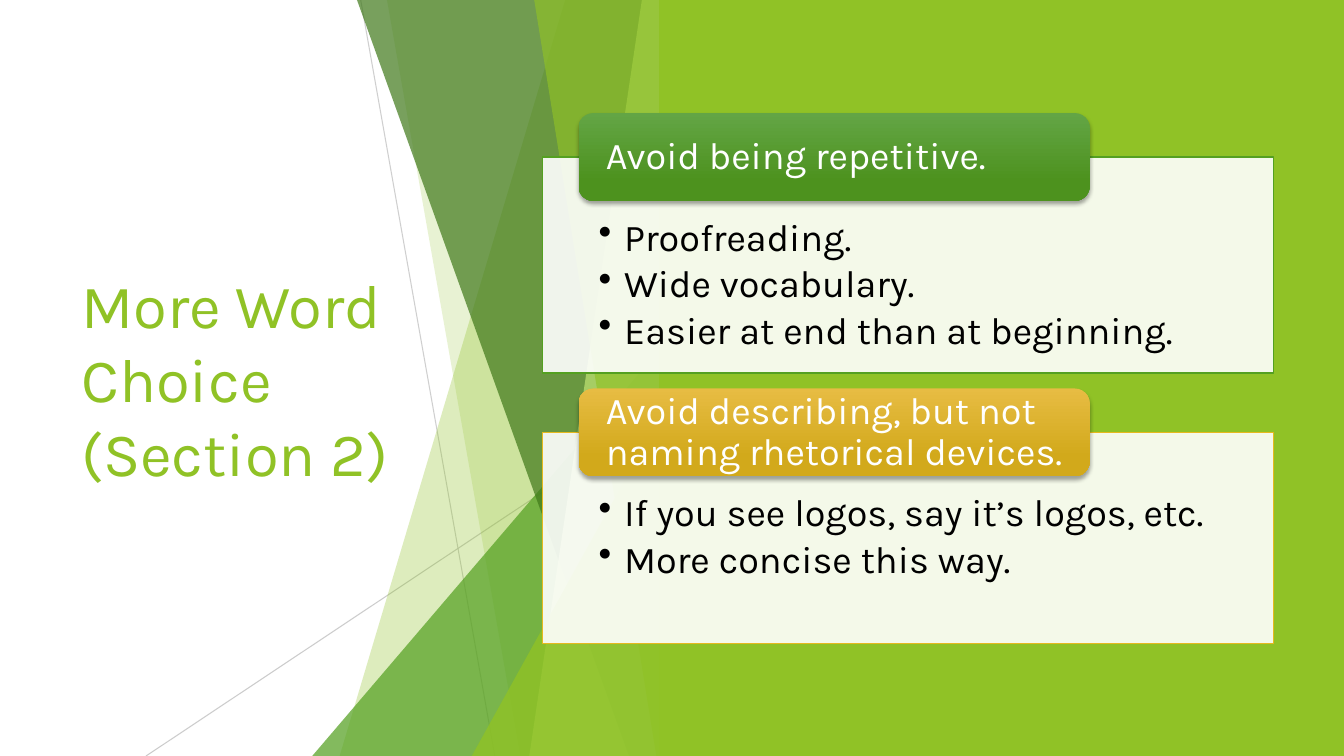
from lxml.etree import SubElement
from pptx import Presentation
from pptx.dml.color import RGBColor
from pptx.enum.shapes import MSO_CONNECTOR, MSO_SHAPE
from pptx.enum.text import MSO_ANCHOR, PP_ALIGN
from pptx.oxml.ns import qn
from pptx.util import Cm, Pt

COLORS = {
    "lime": "90C226", "green": "54A021", "forest": "3F7819", "pale": "C0E474",
    "gold": "E6B91E", "grey": "BFBFBF", "white": "FFFFFF", "black": "000000",
    "green_top": "63A545", "green_low": "4D921E",
    "gold_top": "E7BC43", "gold_low": "D2A91B",
}
FONT = "Karla"
FACET_RIGHT, FACET_TOP, BOTTOM = 16.92, -0.02, 19.05
LINES = [(9.09, 0, 12.47, BOTTOM, 75), (FACET_RIGHT, 10.24, 3.68, BOTTOM, 80)]
FACETS = [
    ("band", 14.25, 8.56, "lime", 30),
    ("band", 9.75, 13.11, "lime", 20),
    ("triangle", 7.87, 8.46, "green", 72),
    ("band", 8.99, 15.85, "forest", 70),
    ("band", 16.18, 13.34, "pale", 70),
    ("band", 13.46, 16.54, "lime", 65),
    ("triangle", 11.89, 9.98, "lime", 80),
]
CARDS = [
    (3.96, 5.44, "green", "Avoid being repetitive.",
     ["Proofreading.", "Wide vocabulary.", "Easier at end than at beginning."]),
    (10.9, 5.31, "gold", "Avoid describing, but not naming rhetorical devices.",
     ["If you see logos, say it’s logos, etc.", "More concise this way."]),
]


def rgb(name):
    """Return the named colour."""
    return RGBColor.from_string(COLORS[name])


def set_alpha(sp, percent):
    """Set the opacity of the first colour of a shape."""
    color = sp._element.spPr.xpath(".//a:srgbClr")[0]
    SubElement(color, qn("a:alpha"), val=str(percent * 1000))


def paint(sp, color, alpha=100, line=None):
    """Give a shape a flat fill and an optional outline."""
    sp.shadow.inherit = False
    sp.fill.solid()
    sp.fill.fore_color.rgb = rgb(color)
    set_alpha(sp, alpha)
    if line:
        sp.line.color.rgb = rgb(line)
        sp.line.width = Pt(1)
    else:
        sp.line.fill.background()


def add_shape(s, kind, x, y, w, h):
    """Add a preset shape measured in centimetres."""
    return s.shapes.add_shape(kind, Cm(x), Cm(y), Cm(w), Cm(h))


def add_line(s, x1, y1, x2, y2, alpha):
    """Add a thin grey background line."""
    sp = s.shapes.add_connector(
        MSO_CONNECTOR.STRAIGHT, Cm(x1), Cm(y1), Cm(x2), Cm(y2))
    sp.line.color.rgb = rgb("grey")
    sp.line.width = Pt(0.75)
    set_alpha(sp, alpha)
    SubElement(sp._element.spPr, qn("a:effectLst"))


def add_band(s, top_x, bottom_x, color, alpha):
    """Add a facet with a slanted left edge."""
    builder = s.shapes.build_freeform(Cm(top_x), Cm(FACET_TOP))
    corners = [(FACET_RIGHT, FACET_TOP), (FACET_RIGHT, BOTTOM), (bottom_x, BOTTOM)]
    builder.add_line_segments([(Cm(x), Cm(y)) for x, y in corners])
    paint(builder.convert_to_shape(), color, alpha)


def add_triangle(s, x, y, color, alpha):
    """Add a facet whose apex is at its upper right."""
    sp = add_shape(s, MSO_SHAPE.ISOSCELES_TRIANGLE, x, y, FACET_RIGHT - x, BOTTOM - y)
    sp.adjustments[0] = 1
    paint(sp, color, alpha)


def write(sp, lines, size, color, frame, bullets=False, spacing=None):
    """Write paragraphs into a shape."""
    tf = sp.text_frame
    for name, value in {"word_wrap": True, **frame}.items():
        setattr(tf, name, value)
    for i, text in enumerate(lines):
        p = tf.paragraphs[0] if i == 0 else tf.add_paragraph()
        p.alignment = PP_ALIGN.LEFT
        p.line_spacing = spacing
        r = p.add_run()
        r.text = text
        for name, value in {"name": FONT, "size": Pt(size)}.items():
            setattr(r.font, name, value)
        r.font.color.rgb = rgb(color)
        if bullets:
            p.space_after = Pt(4)
            pPr = p._p.get_or_add_pPr()
            pPr.set("marL", str(Cm(0.64)))
            pPr.set("indent", str(-Cm(0.64)))
            SubElement(pPr, qn("a:buChar"), char="•")


def add_tab(s, y, accent, heading):
    """Add the shaded heading tab of a card."""
    sp = add_shape(s, MSO_SHAPE.ROUNDED_RECTANGLE, 14.58, y, 12.88, 2.21)
    sp.fill.gradient()
    sp.fill.gradient_angle = 270
    shades = [(0, "_top"), (0.78, "_low")]
    for stop, (position, shade) in zip(sp.fill.gradient_stops, shades):
        stop.position = position
        stop.color.rgb = rgb(accent + shade)
    sp.line.fill.background()
    effects = SubElement(sp._element.spPr, qn("a:effectLst"))
    shadow = SubElement(effects, qn("a:outerShdw"), blurRad=str(Pt(3)),
                        dist=str(Pt(2)), dir="5400000", rotWithShape="0")
    color = SubElement(shadow, qn("a:srgbClr"), val=COLORS["black"])
    SubElement(color, qn("a:alpha"), val="35000")
    write(sp, [heading], 27, "white", {
        "vertical_anchor": MSO_ANCHOR.MIDDLE, "margin_left": Cm(0.58),
        "margin_right": Cm(0.58), "margin_top": 0, "margin_bottom": 0}, spacing=0.9)


def add_card(s, y, h, accent, heading, points):
    """Add a bulleted card with its heading tab."""
    sp = add_shape(s, MSO_SHAPE.RECTANGLE, 13.67, y, 18.42, h)
    paint(sp, "white", 90, accent)
    write(sp, points, 27, "black", {
        "vertical_anchor": MSO_ANCHOR.TOP, "margin_left": Cm(1.42),
        "margin_right": Cm(1.42), "margin_top": Cm(1.55),
        "margin_bottom": Cm(0.53)}, bullets=True, spacing=0.9)
    add_tab(s, y - 1.11, accent, heading)


def main():
    """Build and save the slide."""
    prs = Presentation()
    prs.slide_width, prs.slide_height = Cm(33.87), Cm(19.05)
    s = prs.slides.add_slide(prs.slide_layouts[6])
    title = s.shapes.add_textbox(Cm(1.8), Cm(3.84), Cm(9.86), Cm(11.38))
    write(title, ["More Word Choice (Section 2)"], 44, "lime",
          {"vertical_anchor": MSO_ANCHOR.MIDDLE})
    for line in LINES:
        add_line(s, *line)
    builders = {"band": add_band, "triangle": add_triangle}
    for kind, *facet in FACETS:
        builders[kind](s, *facet)
    paint(add_shape(s, MSO_SHAPE.RECTANGLE, 16.61, 0, 17.26, BOTTOM), "lime")
    for card in CARDS:
        add_card(s, *card)
    prs.save("out.pptx")


if __name__ == "__main__":
    main()
